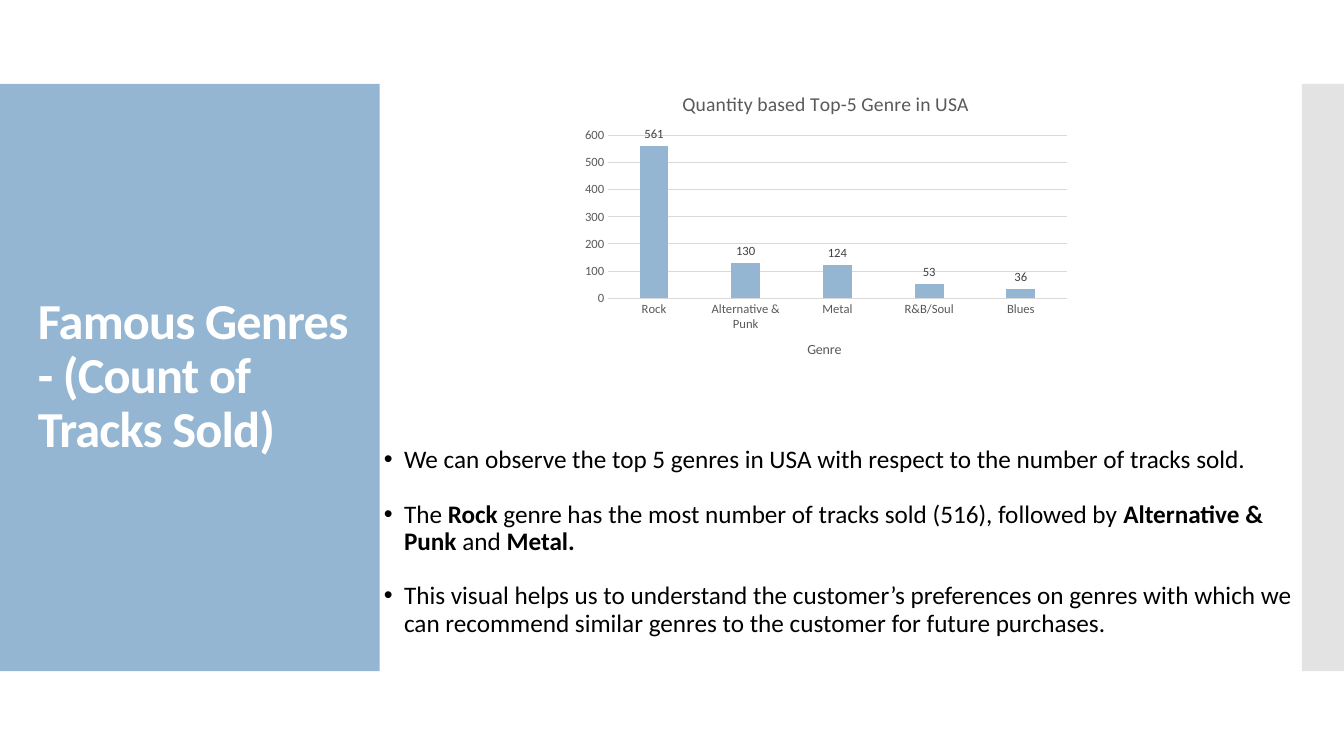
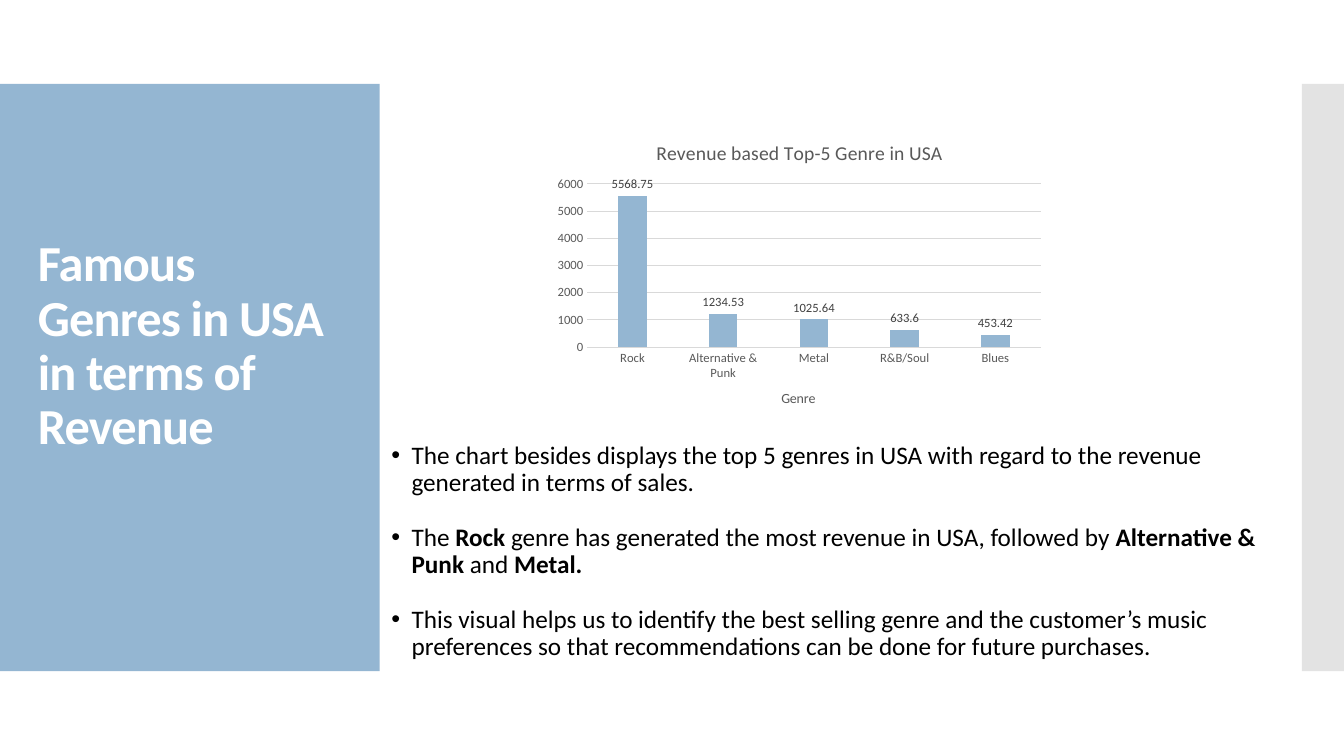
from dataclasses import dataclass

import lxml.etree
import pptx
import pptx.chart.data
import pptx.dml.color
import pptx.enum.chart
import pptx.enum.shapes
import pptx.enum.text
import pptx.oxml.ns
import pptx.util

RGBColor = pptx.dml.color.RGBColor
BLUE = RGBColor(0x94, 0xB6, 0xD2)
SILVER = RGBColor(0xC8, 0xC8, 0xC8)
WHITE = RGBColor(0xFF, 0xFF, 0xFF)
BLACK = RGBColor(0x00, 0x00, 0x00)
LABEL_GRAY = RGBColor(0x40, 0x40, 0x40)
AXIS_GRAY = RGBColor(0x59, 0x59, 0x59)
GRID_GRAY = RGBColor(0xD9, 0xD9, 0xD9)

FONT = "Calibri"
COLUMNS, ROWS = 160, 90
CELL = pptx.util.Inches(1) // 12
LINE_SPACING = 0.9
BULLET_INDENT = pptx.util.Inches(0.2)
PLOT_RIGHT = 0.98
GENRES = ("Rock", "Alternative & Punk", "Metal", "R&B/Soul", "Blues")


@dataclass(frozen=True)
class Area:
    column: float
    row: float
    columns: float
    rows: float

    def box(self) -> tuple[int, ...]:
        return tuple(round(cells * CELL) for cells in (self.column, self.row, self.columns, self.rows))


@dataclass(frozen=True)
class Band:
    area: Area
    color: RGBColor
    opacity: int


@dataclass(frozen=True)
class GenreChart:
    title: str
    area: Area
    values: tuple[float, ...]
    step: int
    plot_left: float


@dataclass(frozen=True)
class GenrePage:
    title: str
    title_area: Area
    bullets: tuple[str, ...]
    bullets_area: Area
    chart: GenreChart


BANDS = (
    Band(Area(0, 10, 45.2, 69.9), BLUE, 100),
    Band(Area(155, 10, 5, 69.9), SILVER, 50),
)

PAGES = (
    GenrePage(
        "Famous Genres - (Count of Tracks Sold)",
        Area(3.3, 14.7, 41.2, 60.4),
        (
            "We can observe the top 5 genres in USA with respect to the number of tracks sold.",
            "The **Rock **genre has the most number of tracks sold (516), followed by "
            "**Alternative & Punk **and **Metal.**",
            "This visual helps us to understand the customer’s preferences on genres with which "
            "we can recommend similar genres to the customer for future purchases.",
        ),
        Area(44.5, 48.9, 111.1, 31.3),
        GenreChart("Quantity based Top-5 Genre in USA", Area(68.2, 8.9, 60, 36),
                   (561, 130, 124, 53, 36), 100, 0.07),
    ),
    GenrePage(
        "Famous Genres in USA in terms of Revenue",
        Area(3.3, 11.1, 38.6, 60.4),
        (
            "The chart besides displays the top 5 genres in USA with regard to the revenue "
            "generated in terms of sales.",
            "The **Rock **genre has generated the most revenue in USA, followed by "
            "**Alternative & Punk **and **Metal.**",
            "This visual helps us to identify the best selling genre and the customer’s music "
            "preferences so that recommendations can be done for future purchases.",
        ),
        Area(45.4, 46.3, 110.8, 38.8),
        GenreChart("Revenue based Top-5 Genre in USA", Area(65.1, 14.7, 60, 36),
                   (5568.75, 1234.53, 1025.64, 633.6, 453.42), 1000, 0.08),
    ),
)


def set_font(font, *, size: float, color: RGBColor, bold: bool = False) -> None:
    font.name = FONT
    font.size = pptx.util.Pt(size)
    font.bold = bold
    font.color.rgb = color


def write_text(para, text: str, *, size: float, color: RGBColor,
               bold: bool = False, tracking: int = 0) -> None:
    for index, part in enumerate(text.split("**")):
        if part:
            span = para.add_run()
            span.text = part
            set_font(span.font, size=size, color=color, bold=bold or index % 2 == 1)
            if tracking:
                span.font._element.set("spc", str(tracking))


def place_frame(holder, area: Area):
    holder.left, holder.top, holder.width, holder.height = area.box()
    frame = holder.text_frame
    frame.word_wrap = True
    frame.auto_size = pptx.enum.text.MSO_AUTO_SIZE.NONE
    frame.vertical_anchor = pptx.enum.text.MSO_ANCHOR.MIDDLE
    return frame


def draw_title(page, text: str, area: Area) -> None:
    para = place_frame(page.shapes.title, area).paragraphs[0]
    para.alignment = pptx.enum.text.PP_ALIGN.LEFT
    para.line_spacing = LINE_SPACING
    write_text(para, text, size=36, color=WHITE, bold=True, tracking=-60)


def draw_bullets(page, bullets: tuple[str, ...], area: Area) -> None:
    frame = place_frame(page.placeholders[1], area)
    for index, text in enumerate(bullets):
        para = frame.add_paragraph() if index else frame.paragraphs[0]
        para.line_spacing = LINE_SPACING
        para.space_before = pptx.util.Pt(19.5 if index else 0)
        properties = para._p.get_or_add_pPr()
        properties.set("marL", str(BULLET_INDENT))
        properties.set("indent", str(-BULLET_INDENT))
        write_text(para, text, size=18, color=BLACK)


def draw_bands(page) -> None:
    for index, band in enumerate(BANDS):
        shape = page.shapes.add_shape(pptx.enum.shapes.MSO_SHAPE.RECTANGLE, *band.area.box())
        shape.shadow.inherit = False
        shape.fill.solid()
        shape.fill.fore_color.rgb = band.color
        shape.line.fill.background()
        if band.opacity < 100:
            tone = next(shape.element.iter(pptx.oxml.ns.qn("a:srgbClr")))
            alpha = lxml.etree.SubElement(tone, pptx.oxml.ns.qn("a:alpha"))
            alpha.set("val", str(band.opacity * 1000))
        page.shapes.element.insert(2 + index, shape.element)


def set_layout(parent, **shares: float) -> None:
    qn = pptx.oxml.ns.qn
    layout = parent.find(qn("c:layout"))
    if layout is None:
        layout = lxml.etree.Element(qn("c:layout"))
        parent.insert(0 if parent.find(qn("c:tx")) is None else 1, layout)
    manual = lxml.etree.SubElement(layout, qn("c:manualLayout"))
    settings = {"xMode": "edge", "yMode": "edge", **shares}
    if "w" in shares:
        settings = {"layoutTarget": "inner", **settings}
    for key, value in settings.items():
        lxml.etree.SubElement(manual, qn(f"c:{key}")).set("val", str(value))


def write_chart_title(title, text: str, *, size: float, x: float, y: float) -> None:
    write_text(title.text_frame.paragraphs[0], text, size=size, color=AXIS_GRAY)
    set_layout(title._element, x=x, y=y)


def draw_chart(page, genre_chart: GenreChart) -> None:
    data = pptx.chart.data.CategoryChartData()
    data.categories = GENRES
    data.add_series("Series 1", genre_chart.values)
    chart = page.shapes.add_chart(
        pptx.enum.chart.XL_CHART_TYPE.COLUMN_CLUSTERED, *genre_chart.area.box(), data).chart
    set_font(chart.font, size=10, color=BLACK)
    chart.has_legend = False
    chart.has_title = True
    write_chart_title(chart.chart_title, genre_chart.title, size=14, x=0.21, y=0.04)

    plot = chart.plots[0]
    plot.gap_width, plot.overlap, plot.vary_by_categories = 219, -27, False
    series = plot.series[0]
    series.format.fill.solid()
    series.format.fill.fore_color.rgb = BLUE
    labels = series.data_labels
    labels.show_value = True
    labels.position = pptx.enum.chart.XL_LABEL_POSITION.OUTSIDE_END
    set_font(labels.font, size=9, color=LABEL_GRAY)

    genres, amounts = chart.category_axis, chart.value_axis
    for axis in (genres, amounts):
        axis.major_tick_mark = pptx.enum.chart.XL_TICK_MARK.NONE
        axis.minor_tick_mark = pptx.enum.chart.XL_TICK_MARK.NONE
        set_font(axis.tick_labels.font, size=9, color=AXIS_GRAY)
    amounts.format.line.fill.background()
    amounts.has_major_gridlines = True
    for line in (genres.format.line, amounts.major_gridlines.format.line):
        line.color.rgb = GRID_GRAY
        line.width = pptx.util.Pt(0.75)
    amounts.minimum_scale = 0
    amounts.maximum_scale = 6 * genre_chart.step
    amounts.major_unit = genre_chart.step
    genres.has_title = True
    write_chart_title(genres.axis_title, "Genre", size=10, x=0.46, y=0.87)

    plot_area = next(chart._chartSpace.iter(pptx.oxml.ns.qn("c:plotArea")))
    set_layout(plot_area, x=genre_chart.plot_left, y=0.2,
               w=round(PLOT_RIGHT - genre_chart.plot_left, 2), h=0.54)


def main() -> None:
    deck = pptx.Presentation()
    deck.slide_width, deck.slide_height = COLUMNS * CELL, ROWS * CELL
    for content in PAGES:
        page = deck.slides.add_slide(deck.slide_layouts[1])
        draw_bands(page)
        draw_title(page, content.title, content.title_area)
        draw_bullets(page, content.bullets, content.bullets_area)
        draw_chart(page, content.chart)
    deck.save("out.pptx")


if __name__ == "__main__":
    main()
